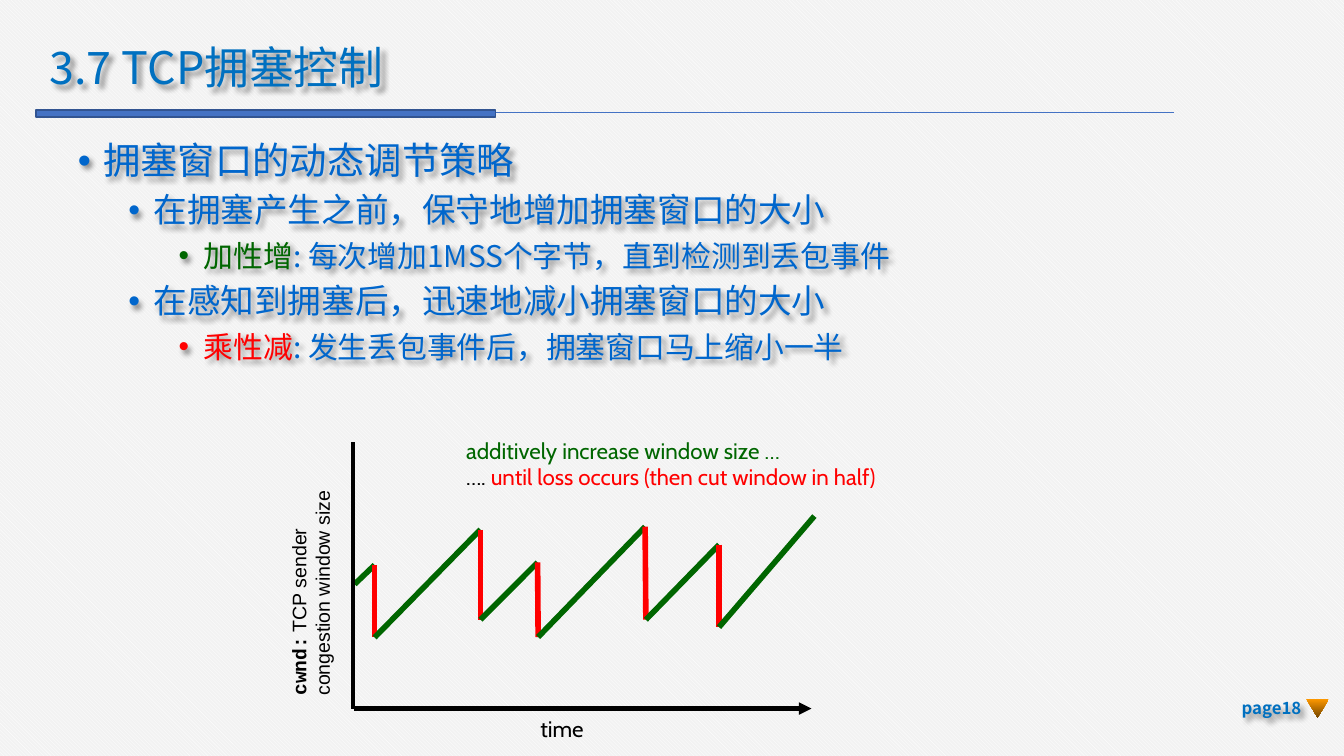
import itertools

import pptx
import pptx.dml.color
import pptx.enum.dml
import pptx.enum.shapes
import pptx.enum.text
import pptx.oxml
import pptx.oxml.ns
import pptx.util

Pt = pptx.util.Pt
ALIGN = pptx.enum.text.PP_ALIGN
ANCHOR = pptx.enum.text.MSO_ANCHOR
SHAPE = pptx.enum.shapes.MSO_SHAPE

THEME = {
    "white": "FFFFFF", "backdrop": "F2F2F2", "title": "0070C0", "body": "0066CC",
    "rise": "006600", "drop": "FF0000", "ink": "000000",
    "bar": "4472C4", "bar_edge": "325491", "orange": "FF9900", "brown": "764700",
    "cjk": "Noto Sans CJK SC", "label": "Cabin", "code": "Courier New", "plain": "Arial",
    "title_size": 24, "level_sizes": (20, 18, 16),
    "label_size": 12, "axis_size": 10.5, "page_size": 9,
}

TITLE = "3.7 TCP拥塞控制"
BULLETS = [
    (0, [("拥塞窗口的动态调节策略", "body")]),
    (1, [("在拥塞产生之前，保守地增加拥塞窗口的大小", "body")]),
    (2, [("加性增", "rise"), (": 每次增加1MSS个字节，直到检测到丢包事件", "body")]),
    (1, [("在感知到拥塞后，迅速地减小拥塞窗口的大小", "body")]),
    (2, [("乘性减", "drop"), (": 发生丢包事件后，拥塞窗口马上缩小一半", "body")]),
]
CAPTION = [
    [("additively increase window size …", "rise")],
    [("…. ", "ink"), ("until loss occurs (then cut window in half)", "drop")],
]
AXIS_LABEL = [
    [("cwnd:", "code", True), (" TCP sender", "plain", False)],
    [("congestion window size", "plain", False)],
]
SAWTOOTH = [
    (190, 313), (200.7, 302.7), (200.7, 341.5), (257.4, 283.7), (257.4, 332), (288, 301.3),
    (288.3, 341.3), (345.6, 282.2), (346, 332), (385.2, 291.8), (385.2, 336), (436.3, 276.5),
]


def color(name):
    """Return a theme colour."""
    return pptx.dml.color.RGBColor.from_string(THEME[name])


def add_effects(shape, inner=""):
    """Give a shape or connector its own effect list."""
    shape._element.spPr.append(pptx.oxml.parse_xml(
        f'<a:effectLst {pptx.oxml.ns.nsdecls("a")}>{inner}</a:effectLst>'))


def add_text_shadow(box):
    """Cast a soft shadow below and to the right of the text."""
    add_effects(box, '<a:outerShdw blurRad="38100" dist="38100" dir="2700000" algn="tl">'
                     '<a:srgbClr val="000000"><a:alpha val="43000"/></a:srgbClr></a:outerShdw>')


def add_line(page, start, end, name, width, arrow=False):
    """Draw a straight line, with an arrowhead if asked."""
    line = page.shapes.add_connector(
        pptx.enum.shapes.MSO_CONNECTOR.STRAIGHT, *map(Pt, (*start, *end)))
    line.line.color.rgb = color(name)
    line.line.width = Pt(width)
    if arrow:
        line.line._get_or_add_ln().append(pptx.oxml.parse_xml(
            f'<a:tailEnd {pptx.oxml.ns.nsdecls("a")} type="triangle"/>'))
    add_effects(line)


def add_box(page, place, wrap=True, anchor=ANCHOR.TOP):
    """Add an empty text box."""
    box = page.shapes.add_textbox(*map(Pt, place))
    frame = box.text_frame
    frame.word_wrap = wrap
    frame.vertical_anchor = anchor
    if not wrap:
        frame.auto_size = pptx.enum.text.MSO_AUTO_SIZE.SHAPE_TO_FIT_TEXT
    return box


def add_para(box, index):
    """Return the first paragraph or a new one."""
    return box.text_frame.add_paragraph() if index else box.text_frame.paragraphs[0]


def add_span(para, text, name, size, font, bold=False):
    """Add a formatted run."""
    span = para.add_run()
    span.text = text
    span.font.size = Pt(size)
    span.font.bold = bold
    span.font.color.rgb = color(name)
    span.font.name = THEME[font]
    east = span.font._element.makeelement(
        pptx.oxml.ns.qn("a:ea"), {"typeface": THEME[font]})
    span.font._element.append(east)


def add_header(page):
    """Draw the title and its rule."""
    add_line(page, (629, 60.5), (19.5, 60.5), "bar", 0.5)
    bar = page.shapes.add_shape(SHAPE.RECTANGLE, *map(Pt, (19.5, 59, 246, 3.6)))
    bar.shadow.inherit = False
    bar.fill.solid()
    bar.fill.fore_color.rgb = color("bar")
    bar.line.color.rgb = color("bar_edge")
    bar.line.width = Pt(1)
    box = add_box(page, (19.5, 21.6, 246, 31.7), anchor=ANCHOR.MIDDLE)
    para = add_para(box, 0)
    para.line_spacing = 0.9
    add_span(para, TITLE, "title", THEME["title_size"], "cjk")
    add_text_shadow(box)


def add_bullets(page):
    """Write the bulleted list."""
    box = add_box(page, (36.7, 73.4, 504.7, 297.4))
    frame = box.text_frame
    frame.margin_left = frame.margin_right = Pt(5)
    frame.margin_top = frame.margin_bottom = Pt(2.9)
    for index, (level, spans) in enumerate(BULLETS):
        para = add_para(box, index)
        para.level = level
        props = para._p.get_or_add_pPr()
        props.set("marL", str(Pt(13.5 + 27 * level)))
        props.set("indent", str(Pt(-13.5)))
        props.append(pptx.oxml.parse_xml(
            f'<a:buFont {pptx.oxml.ns.nsdecls("a")} typeface="Arial"/>'))
        props.append(pptx.oxml.parse_xml(
            f'<a:buChar {pptx.oxml.ns.nsdecls("a")} char="•"/>'))
        para.line_spacing = 0.9
        para.space_before = Pt(6 if index else 0)
        for text, name in spans:
            add_span(para, text, name, THEME["level_sizes"][level], "cjk")
    add_text_shadow(box)


def add_diagram(page):
    """Draw the sawtooth, its axes and labels."""
    for index, (start, end) in enumerate(itertools.pairwise(SAWTOOTH)):
        add_line(page, start, end, "drop" if index % 2 else "rise", 3)
    caption = add_box(page, (242.6, 230.4, 257, 36), wrap=False)
    for index, spans in enumerate(CAPTION):
        para = add_para(caption, index)
        for text, name in spans:
            add_span(para, text, name, THEME["label_size"], "label")
    axis_label = add_box(page, (103, 300.2, 126.7, 32.4), wrap=False)
    axis_label.rotation = 270
    for index, spans in enumerate(AXIS_LABEL):
        para = add_para(axis_label, index)
        for text, font, bold in spans:
            add_span(para, text, "ink", THEME["axis_size"], font, bold)
    add_line(page, (189.7, 379.6), (434.7, 379.6), "ink", 2.25, arrow=True)
    add_line(page, (189.3, 237), (189.3, 379.6), "ink", 2.25)
    time_label = add_box(page, (282.4, 379.6, 38, 21.6), wrap=False)
    add_span(add_para(time_label, 0), "time", "ink", THEME["label_size"], "label")


def add_footer(page):
    """Write the page number and its marker."""
    box = add_box(page, (654.5, 368.6, 49.7, 21.6), anchor=ANCHOR.MIDDLE)
    para = add_para(box, 0)
    para.alignment = ALIGN.RIGHT
    add_span(para, "page18", "title", THEME["page_size"], "cjk", True)
    add_text_shadow(box)
    marker = page.shapes.add_shape(SHAPE.FLOWCHART_MERGE, *map(Pt, (699.8, 374.4, 12.2, 10)))
    marker.shadow.inherit = False
    marker.fill.gradient()
    marker.fill.gradient_angle = 270
    for stop, name in zip(marker.fill.gradient_stops, ("orange", "brown")):
        stop.color.rgb = color(name)
    marker.line.fill.background()


def main():
    """Build the slide on TCP congestion control."""
    deck = pptx.Presentation()
    deck.slide_width, deck.slide_height = Pt(720), Pt(405)
    page = deck.slides.add_slide(deck.slide_layouts[6])
    backdrop = page.background.fill
    backdrop.patterned()
    backdrop.pattern = pptx.enum.dml.MSO_PATTERN.DARK_DOWNWARD_DIAGONAL
    backdrop.fore_color.rgb = color("white")
    backdrop.back_color.rgb = color("backdrop")
    add_header(page)
    add_bullets(page)
    add_diagram(page)
    add_footer(page)
    deck.save("out.pptx")


if __name__ == "__main__":
    main()
